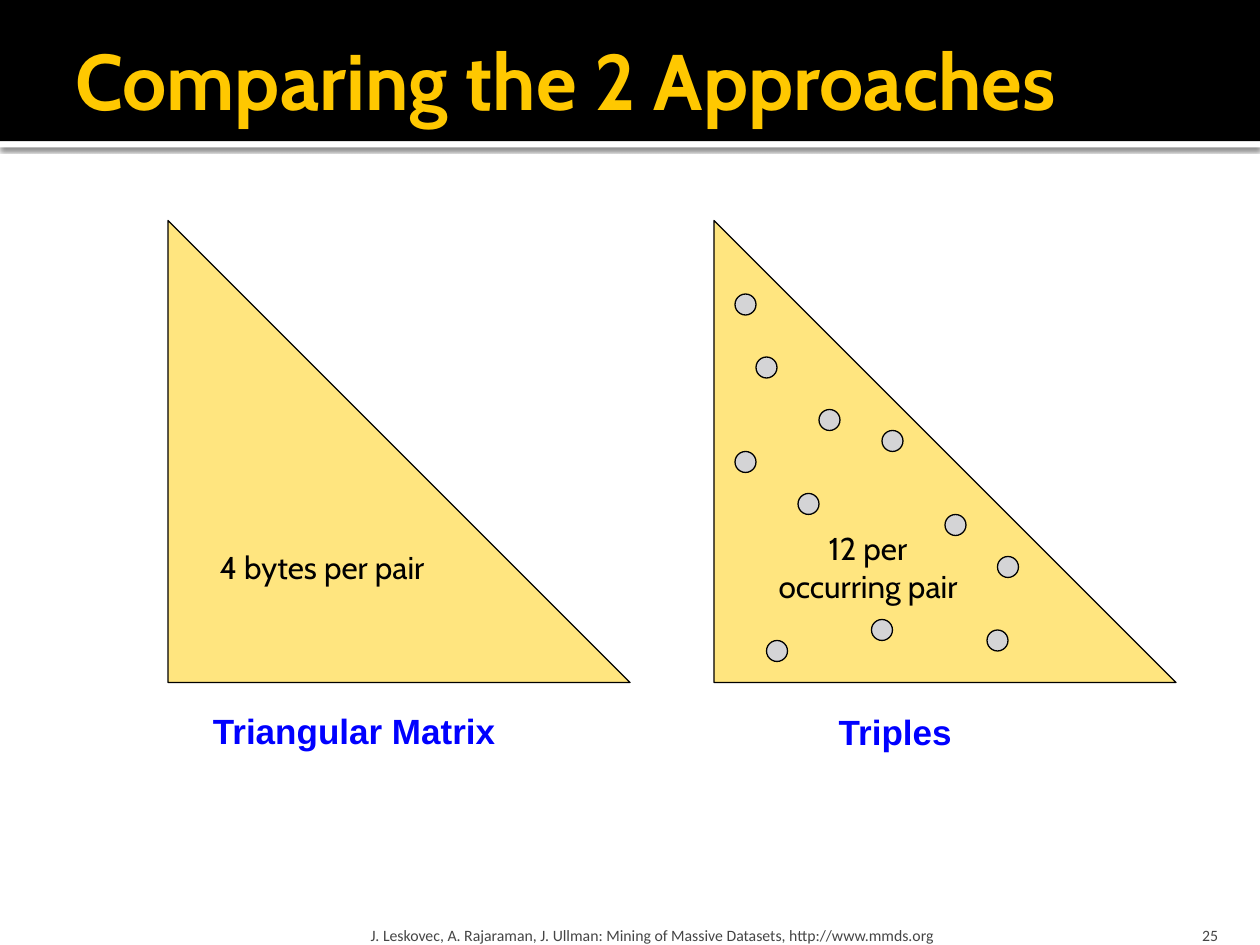
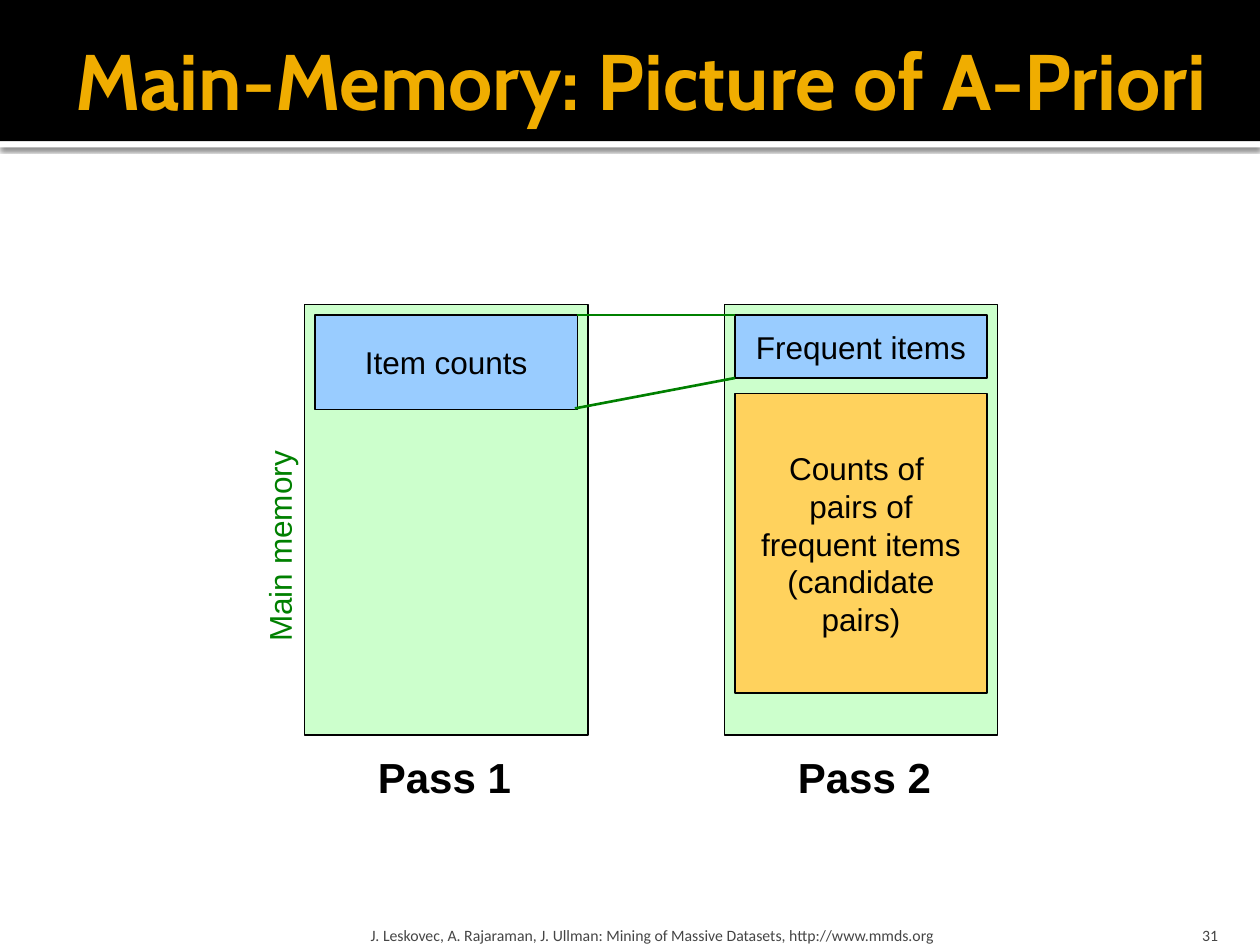
from dataclasses import dataclass
from typing import NamedTuple

from lxml import etree
from pptx import Presentation
from pptx import util as u
from pptx.dml.color import RGBColor
from pptx.enum import shapes, text
from pptx.oxml import ns

COLUMNS, ROWS = 120, 90  # square cells, twelve to the inch
CELL = u.Inches(10) / COLUMNS


@dataclass(frozen=True)
class Theme:
    black: str = "000000"
    white: str = "FFFFFF"
    title_yellow: str = "FFC800"
    title_amber: str = "F0AD00"
    footer_grey: str = "454545"
    triangle: str = "FFCC00"
    dot: str = "D4D4D6"
    caption_blue: str = "0000FF"
    memory: str = "CCFFCC"
    items: str = "99CCFF"
    pairs: str = "FFD25D"
    green: str = "008000"
    heading_font: str = "Cabin"
    diagram_font: str = "Arial"
    footer_font: str = "Calibri"
    title_size: float = 45
    pass_size: float = 24
    caption_size: float = 20
    label_size: float = 18
    footer_size: float = 9
    outline: float = 0.75
    link: float = 1.5


THEME = Theme()


class Area(NamedTuple):
    """Left, top, width and height in grid cells."""
    column: float
    row: float
    columns: float
    rows: float

    def lengths(self) -> list[u.Emu]:
        return [cells(value) for value in self]


class Style(NamedTuple):
    size: float
    font: str
    color: str = THEME.black
    bold: bool = False
    align: text.PP_ALIGN = text.PP_ALIGN.LEFT


class Label(NamedTuple):
    words: str
    area: Area
    style: Style
    rotation: float = 0


class Block(NamedTuple):
    area: Area
    fill: str
    paragraphs: tuple[str, ...] = ()
    font: str = THEME.diagram_font
    kind: shapes.MSO_SHAPE = shapes.MSO_SHAPE.RECTANGLE
    opacity: int = 100
    wrap: bool = False


class Link(NamedTuple):
    start: tuple[float, float]
    end: tuple[float, float]


class Heading(NamedTuple):
    words: str
    area: Area
    color: str
    number: int


FOOTER = "J. Leskovec, A. Rajaraman, J. Ullman: Mining of Massive Datasets, http://www.mmds.org"
FOOTER_AREA = Area(34.7, 86.4, 72.2, 3.6)
NUMBER_AREA = Area(107.6, 86.4, 9.6, 3.6)
BAND = Area(0, 0, COLUMNS, 13.44)
BAND_EDGE = Area(0, 13.44, COLUMNS, 0.6)

FOOTER_STYLE = Style(THEME.footer_size, THEME.footer_font, THEME.footer_grey)
CAPTION = Style(THEME.caption_size, THEME.diagram_font, THEME.caption_blue, True)
PASS = Style(THEME.pass_size, THEME.diagram_font, bold=True)
MEMORY_LABEL = Style(THEME.label_size, THEME.diagram_font, THEME.green)

TRIANGLE_SIDE = 44
DOT_SIDE = 2
DOTS = [(95, 53), (83, 59), (84, 41), (72, 34), (90, 49), (94, 60),
        (73, 61), (76, 47), (78, 39), (70, 28), (70, 43)]


def cells(count: float) -> u.Emu:
    return u.Emu(round(count * CELL))


def rgb(color: str) -> RGBColor:
    return RGBColor.from_string(color)


def write(shape, paragraphs: tuple[str, ...], style: Style) -> None:
    frame = shape.text_frame
    for index, words in enumerate(paragraphs):
        paragraph = frame.add_paragraph() if index else frame.paragraphs[0]
        paragraph.text = words
        paragraph.alignment = style.align
        paragraph.font.size = u.Pt(style.size)
        paragraph.font.name = style.font
        paragraph.font.bold = style.bold
        paragraph.font.color.rgb = rgb(style.color)


def add_framed_text(slide, words: str, area: Area, style: Style,
                    anchor: text.MSO_ANCHOR, insets: tuple[float, ...]) -> None:
    """Add wrapped text with insets in inches: left, top, right, bottom."""
    box = slide.shapes.add_textbox(*area.lengths())
    frame = box.text_frame
    frame.word_wrap = True
    frame.vertical_anchor = anchor
    (frame.margin_left, frame.margin_top,
     frame.margin_right, frame.margin_bottom) = map(u.Inches, insets)
    write(box, (words,), style)


def add_label(slide, label: Label) -> None:
    box = slide.shapes.add_textbox(*label.area.lengths())
    box.rotation = label.rotation
    box.text_frame.word_wrap = False
    box.text_frame.auto_size = text.MSO_AUTO_SIZE.SHAPE_TO_FIT_TEXT
    write(box, (label.words,), label.style)


def add_filled(slide, kind: shapes.MSO_SHAPE, area: Area, color: str):
    shape = slide.shapes.add_shape(kind, *area.lengths())
    shape.shadow.inherit = False
    shape.fill.solid()
    shape.fill.fore_color.rgb = rgb(color)
    shape.line.fill.background()
    return shape


def add_block(slide, block: Block) -> None:
    shape = add_filled(slide, block.kind, block.area, block.fill)
    shape.line.color.rgb = rgb(THEME.black)
    shape.line.width = u.Pt(THEME.outline)
    if block.opacity < 100:
        color = shape._element.spPr.find(f"{ns.qn('a:solidFill')}/{ns.qn('a:srgbClr')}")
        etree.SubElement(color, ns.qn("a:alpha"), val=str(block.opacity * 1000))
    if block.paragraphs:
        shape.text_frame.word_wrap = block.wrap
        shape.text_frame.vertical_anchor = text.MSO_ANCHOR.MIDDLE
        write(shape, block.paragraphs,
              Style(THEME.label_size, block.font, align=text.PP_ALIGN.CENTER))


def add_link(slide, link: Link) -> None:
    ends = [cells(value) for value in (*link.start, *link.end)]
    connector = slide.shapes.add_connector(shapes.MSO_CONNECTOR.STRAIGHT, *ends)
    connector.line.color.rgb = rgb(THEME.green)
    connector.line.width = u.Pt(THEME.link)
    etree.SubElement(connector._element.spPr, ns.qn("a:effectLst"))


def add_band(slide) -> None:
    """Draw the black band above a white edge that casts a soft shadow."""
    edge = add_filled(slide, shapes.MSO_SHAPE.RECTANGLE, BAND_EDGE, THEME.white)
    effects = edge._element.spPr.find(ns.qn("a:effectLst"))
    shadow = etree.SubElement(
        effects, ns.qn("a:outerShdw"), blurRad=str(u.Pt(2.5)), dist=str(u.Pt(0.8)),
        dir=str(90 * 60000), algn="tl", rotWithShape="0")
    color = etree.SubElement(shadow, ns.qn("a:srgbClr"), val=THEME.black)
    etree.SubElement(color, ns.qn("a:alpha"), val="60000")
    add_filled(slide, shapes.MSO_SHAPE.RECTANGLE, BAND, THEME.black)


def add_slide(presentation, heading: Heading):
    slide = presentation.slides.add_slide(presentation.slide_layouts[6])
    add_band(slide)
    add_framed_text(slide, heading.words, heading.area,
                    Style(THEME.title_size, THEME.heading_font, heading.color, True),
                    text.MSO_ANCHOR.MIDDLE, (0.1, 0.05, 0.05, 0.05))
    add_framed_text(slide, FOOTER, FOOTER_AREA, FOOTER_STYLE,
                    text.MSO_ANCHOR.BOTTOM, (0.05, 0.05, 0.05, 0))
    add_framed_text(slide, str(heading.number), NUMBER_AREA,
                    FOOTER_STYLE._replace(align=text.PP_ALIGN.RIGHT),
                    text.MSO_ANCHOR.BOTTOM, (0.1, 0.05, 0.1, 0))
    return slide


def triangle(column: float, *paragraphs: str) -> Block:
    return Block(Area(column, 21, TRIANGLE_SIDE, TRIANGLE_SIDE), THEME.triangle, paragraphs,
                 THEME.heading_font, shapes.MSO_SHAPE.RIGHT_TRIANGLE, opacity=50)


def build_approaches(presentation) -> None:
    slide = add_slide(presentation, Heading(
        "Comparing the 2 Approaches", Area(6, 2, 108, 11), THEME.title_yellow, 25))
    dots = [Block(Area(column, row, DOT_SIDE, DOT_SIDE), THEME.dot, kind=shapes.MSO_SHAPE.OVAL)
            for column, row in DOTS]
    for block in (triangle(16, "4 bytes per pair"),
                  triangle(68, "12 per", "occurring pair"), *dots):
        add_block(slide, block)
    for label in (Label("Triangular Matrix", Area(19.1, 67, 29.5, 5.25), CAPTION),
                  Label("Triples", Area(78.7, 67.1, 13.3, 5.25), CAPTION)):
        add_label(slide, label)


def build_memory(presentation) -> None:
    slide = add_slide(presentation, Heading(
        "Main-Memory: Picture of A-Priori", Area(6, 1, 111, 13), THEME.title_amber, 31))
    for block in (
        Block(Area(29, 29, 27, 41), THEME.memory),
        Block(Area(69, 29, 26, 41), THEME.memory),
        Block(Area(30, 30, 25, 9), THEME.items, ("Item counts",)),
        Block(Area(70, 30, 24, 6), THEME.items, ("Frequent items",)),
        Block(Area(70, 37.5, 24, 28.5), THEME.pairs,
              ("Counts of \npairs of frequent items (candidate pairs)",), wrap=True),
    ):
        add_block(slide, block)
    for link in (Link((54.75, 38.9), (70, 36)), Link((55, 30), (70, 30))):
        add_link(slide, link)
    for label in (
        Label("Pass 1", Area(34.8, 71, 15.2, 6), PASS),
        Label("Pass 2", Area(74.8, 71, 15.2, 6), PASS),
        Label("Main memory", Area(16.2, 49.5, 20.8, 4.8), MEMORY_LABEL, rotation=270),
    ):
        add_label(slide, label)


def main() -> None:
    presentation = Presentation()
    presentation.slide_width = cells(COLUMNS)
    presentation.slide_height = cells(ROWS)
    build_approaches(presentation)
    build_memory(presentation)
    presentation.save("out.pptx")


if __name__ == "__main__":
    main()
